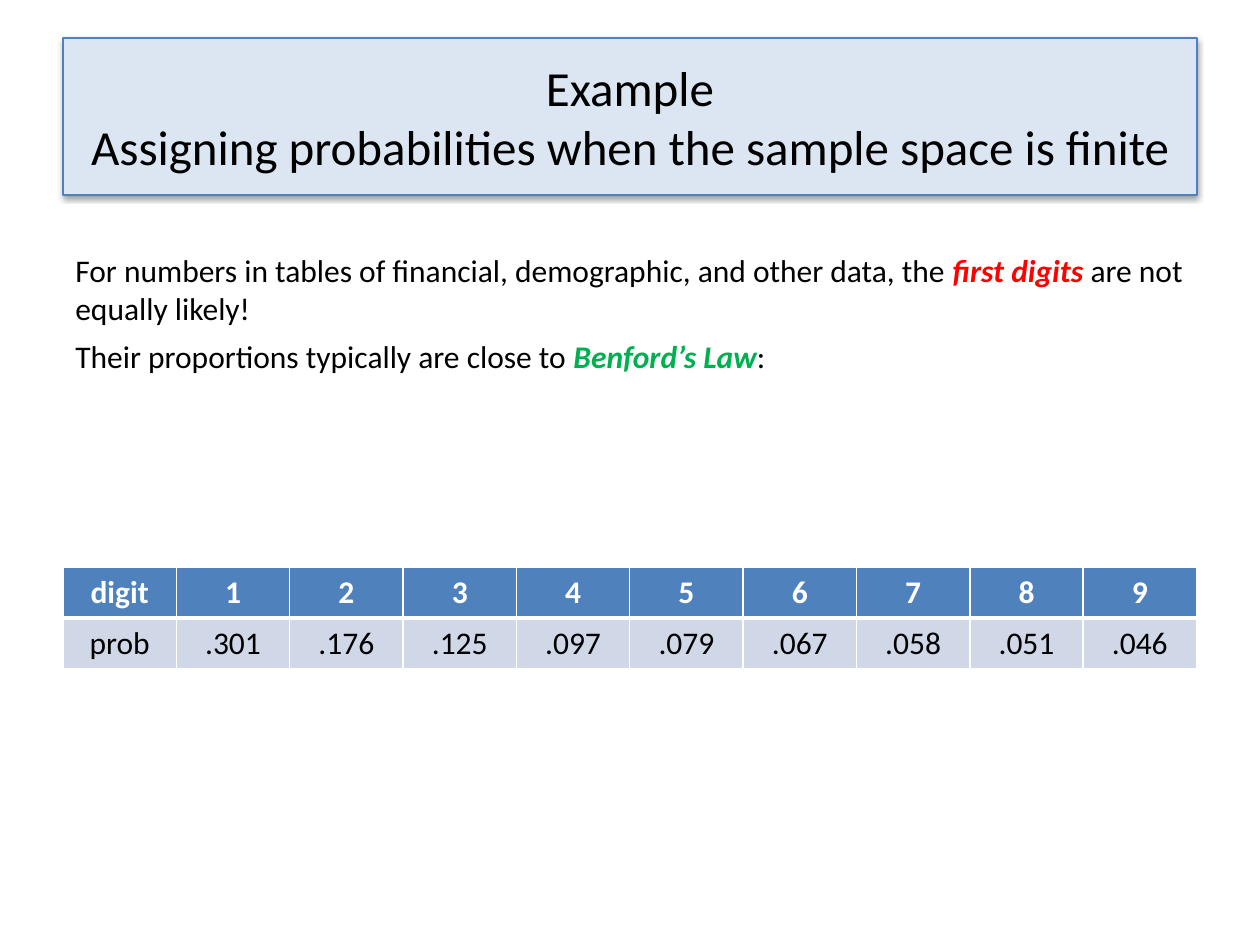
from lxml.etree import SubElement
from pptx import Presentation
from pptx.dml.color import RGBColor
from pptx.enum.text import MSO_ANCHOR, MSO_AUTO_SIZE, PP_ALIGN
from pptx.oxml.ns import qn
from pptx.util import Emu, Pt

SCALE = 914400 // 126
COLORS = {
    "text": "000000", "panel": "DCE6F2", "accent": "4F81BD", "row": "D0D8E8",
    "white": "FFFFFF", "red": "FF0000", "green": "00B050",
}
DIGIT_ROWS = [
    ["digit", "1", "2", "3", "4", "5", "6", "7", "8", "9"],
    ["prob", ".301", ".176", ".125", ".097", ".079", ".067", ".058", ".051", ".046"],
]
LAW_PARAGRAPHS = [
    [("For numbers in tables of financial, demographic, and other data, the ", None),
     ("first digits ", "red"), ("are not equally likely!", None)],
    [("Their proportions typically are close to ", None),
     ("Benford’s Law", "green"), (":", None)],
]


def px(length):
    return Emu(round(length * SCALE))


def color(name):
    return RGBColor.from_string(COLORS[name])


def set_values(target, **values):
    for name, value in values.items():
        setattr(target, name, value)


def style_font(font, size, name="text", **values):
    set_values(font, name="Calibri", size=Pt(size), **values)
    font.color.rgb = color(name)


def add_shadow(shape):
    shape.shadow.inherit = False
    effects = shape._element.spPr.find(qn("a:effectLst"))
    shadow = SubElement(effects, qn("a:outerShdw"), blurRad="40000", dist="20000",
                        dir="5400000", rotWithShape="0")
    shade = SubElement(shadow, qn("a:srgbClr"), val=COLORS["text"])
    SubElement(shade, qn("a:alpha"), val="38000")


def add_border(cell, sides):
    properties = cell._tc.get_or_add_tcPr()
    for position, (side, width) in enumerate(sides.items()):
        line = properties.makeelement(qn(f"a:ln{side}"), {"w": str(Pt(width))})
        fill = SubElement(line, qn("a:solidFill"))
        SubElement(fill, qn("a:srgbClr"), val=COLORS["white"])
        properties.insert(position, line)


def place_title(page, left, top, width, height):
    title = page.shapes.title
    set_values(title, left=px(left), top=px(top), width=px(width), height=px(height))
    title.fill.solid()
    title.fill.fore_color.rgb = color("panel")
    title.line.color.rgb = color("accent")
    title.line.width = Pt(0.75)
    add_shadow(title)
    frame = title.text_frame
    frame.text = "Example\vAssigning probabilities when the sample space is finite"
    set_values(frame, word_wrap=True, auto_size=MSO_AUTO_SIZE.NONE,
               vertical_anchor=MSO_ANCHOR.MIDDLE)
    para = frame.paragraphs[0]
    para.alignment = PP_ALIGN.CENTER
    for span in para.runs:
        style_font(span.font, 28)


def place_law(page, left, top, width, height):
    box = page.shapes.add_textbox(px(left), px(top), px(width), px(height))
    frame = box.text_frame
    frame.word_wrap = True
    for index, parts in enumerate(LAW_PARAGRAPHS):
        para = frame.add_paragraph() if index else frame.paragraphs[0]
        para.space_after = Pt(6)
        for text, accent in parts:
            span = para.add_run()
            span.text = text
            style_font(span.font, 18, accent or "text",
                       bold=bool(accent), italic=bool(accent))


def place_digits(page, left, top, width, height):
    rows, columns = len(DIGIT_ROWS), len(DIGIT_ROWS[0])
    table = page.shapes.add_table(
        rows, columns, px(left), px(top), px(width), px(height)).table
    for column in table.columns:
        column.width = px(width / columns)
    for index, values in enumerate(DIGIT_ROWS):
        header = index == 0
        table.rows[index].height = px(height / rows)
        for column, text in enumerate(values):
            cell = table.cell(index, column)
            cell.text = text
            cell.fill.solid()
            cell.fill.fore_color.rgb = color("accent" if header else "row")
            add_border(cell, {"L": 1, "R": 1, "T": 1 if header else 3,
                              "B": 3 if header else 1})
            para = cell.text_frame.paragraphs[0]
            para.alignment = PP_ALIGN.CENTER
            style_font(para.runs[0].font, 18, "white" if header else "text", bold=header)


deck = Presentation()
set_values(deck, slide_width=px(1260), slide_height=px(945))
page = deck.slides.add_slide(deck.slide_layouts[5])
place_law(page, 63, 245, 1134, 176)
place_digits(page, 63, 567, 1134, 102)
place_title(page, 63, 38, 1134, 157)
deck.save("out.pptx")
